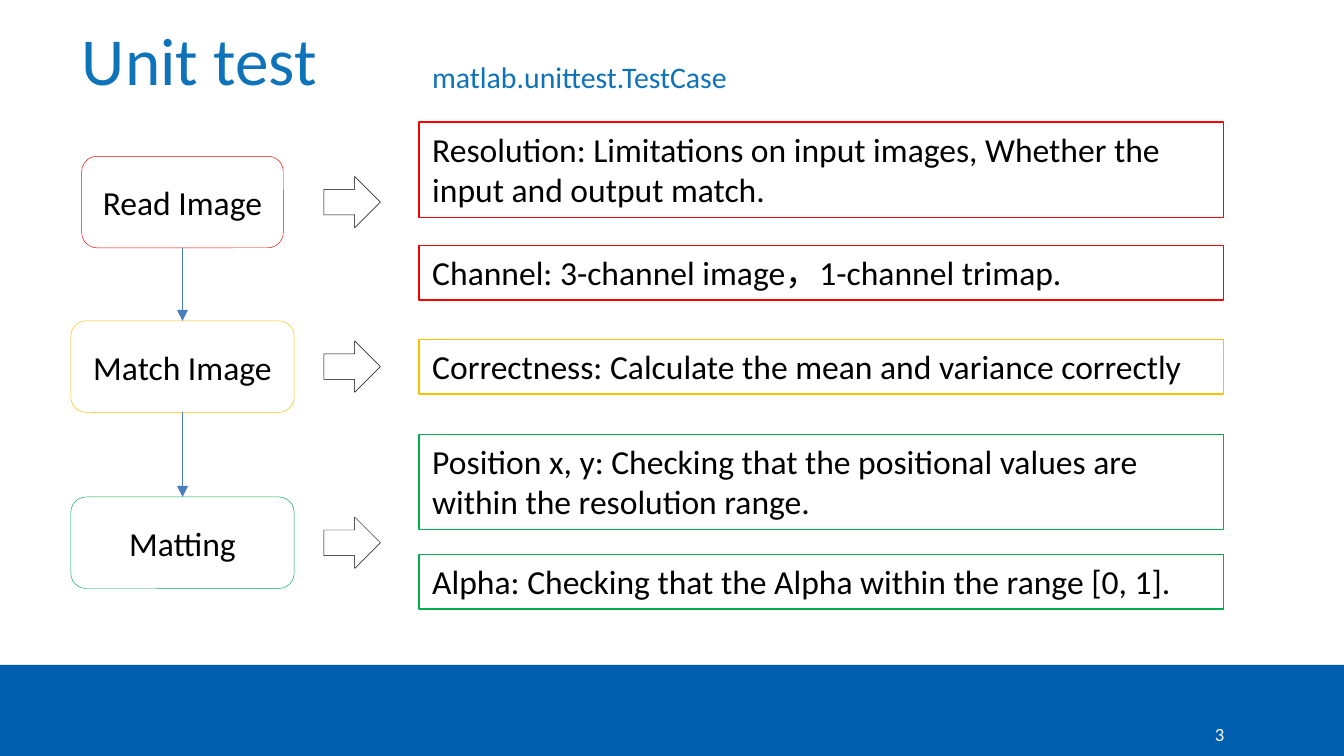
from dataclasses import dataclass

from lxml.etree import SubElement
from pptx import Presentation
from pptx.dml.color import RGBColor
from pptx.enum.shapes import MSO_CONNECTOR, MSO_SHAPE
from pptx.enum.text import MSO_ANCHOR, MSO_AUTO_SIZE, PP_ALIGN
from pptx.oxml.ns import qn
from pptx.util import Cm, Pt


@dataclass(frozen=True)
class Theme:
    """Colours, font and type sizes of the slide."""
    font: str = "Calibri"
    white: str = "FFFFFF"
    black: str = "000000"
    band: str = "005EAE"
    heading: str = "0E73B9"
    flow: str = "4B7EBC"
    red: str = "FF0000"
    amber: str = "FFC000"
    green: str = "00B050"
    title_size: int = 36
    body_size: int = 18
    subtitle_size: int = 16
    number_size: int = 10
    thin: float = 0.25
    regular: float = 0.75


class SlideBuilder:
    """Draws styled elements on the current slide."""

    def __init__(self, slide, theme):
        self.slide = slide
        self.theme = theme

    def set_text(self, frame, text, size, color, align=PP_ALIGN.LEFT, anchor=MSO_ANCHOR.TOP):
        """Fill a text frame with one styled paragraph."""
        frame.word_wrap = True
        frame.vertical_anchor = anchor
        paragraph = frame.paragraphs[0]
        paragraph.text = text
        paragraph.alignment = align
        paragraph.font.name = self.theme.font
        paragraph.font.size = Pt(size)
        paragraph.font.color.rgb = RGBColor.from_string(color)

    def label(self, box, text, size, color, inset=True, **layout):
        """Add a text box, with or without inner margins."""
        frame = self.slide.shapes.add_textbox(*map(Cm, box)).text_frame
        if not inset:
            frame.margin_left = frame.margin_right = frame.margin_top = frame.margin_bottom = 0
        self.set_text(frame, text, size, color, **layout)

    def block(self, kind, box, fill=None, line=None, width=0):
        """Add a preset shape without shadow."""
        shape = self.slide.shapes.add_shape(kind, *map(Cm, box))
        shape.shadow.inherit = False
        if fill:
            shape.fill.solid()
            shape.fill.fore_color.rgb = RGBColor.from_string(fill)
        else:
            shape.fill.background()
        if line:
            shape.line.color.rgb = RGBColor.from_string(line)
            shape.line.width = Pt(width)
        else:
            shape.line.fill.background()
        return shape

    def step(self, text, center, middle, width, height, color):
        """Add a rounded process step around its centre."""
        box = (center - width / 2, middle - height / 2, width, height)
        shape = self.block(MSO_SHAPE.ROUNDED_RECTANGLE, box, self.theme.white, color, self.theme.thin)
        self.set_text(shape.text_frame, text, self.theme.body_size, self.theme.black,
                      PP_ALIGN.CENTER, MSO_ANCHOR.MIDDLE)
        return shape

    def pointer(self, left, middle, width, height):
        """Add a block arrow pointing right."""
        box = (left, middle - height / 2, width, height)
        arrow = self.block(MSO_SHAPE.DOWN_ARROW, box, line=self.theme.black, width=self.theme.thin)
        arrow.rotation = 270

    def check(self, text, box, color):
        """Add an outlined box describing one check."""
        shape = self.block(MSO_SHAPE.RECTANGLE, box, line=color, width=self.theme.regular)
        self.set_text(shape.text_frame, text, self.theme.body_size, self.theme.black)
        shape.text_frame.auto_size = MSO_AUTO_SIZE.SHAPE_TO_FIT_TEXT

    def link(self, upper, lower):
        """Join two steps with a downward arrow."""
        connector = self.slide.shapes.add_connector(MSO_CONNECTOR.STRAIGHT, 0, 0, 0, 0)
        connector.begin_connect(upper, 2)
        connector.end_connect(lower, 0)
        connector.line.color.rgb = RGBColor.from_string(self.theme.flow)
        connector.line.width = Pt(self.theme.regular)
        properties = connector.element.spPr
        SubElement(properties.find(qn("a:ln")), qn("a:tailEnd"), type="triangle")
        SubElement(properties, qn("a:effectLst"))


def main():
    """Build the unit test slide."""
    deck = Presentation()
    deck.slide_width, deck.slide_height = Cm(25.4), Cm(14.29)
    theme = Theme()
    builder = SlideBuilder(deck.slides.add_slide(deck.slide_layouts[6]), theme)

    builder.block(MSO_SHAPE.RECTANGLE, (0, 12.57, 25.4, 1.72), theme.band)
    builder.label((1.55, 0.71, 20.83, 1.17), "Unit test", theme.title_size, theme.heading,
                  inset=False, anchor=MSO_ANCHOR.BOTTOM)
    builder.label((7.92, 0.99, 12.7, 0.94), "matlab.unittest.TestCase",
                  theme.subtitle_size, theme.heading)
    builder.label((22.33, 13.56, 0.81, 0.53), "3", theme.number_size, theme.white,
                  inset=False, align=PP_ALIGN.RIGHT, anchor=MSO_ANCHOR.BOTTOM)

    steps = []
    for text, middle, width, color in (
        ("Read Image", 3.82, 3.81, theme.red),
        ("Match Image", 6.93, 4.22, theme.amber),
        ("Matting", 10.26, 4.22, theme.green),
    ):
        steps.append(builder.step(text, 3.45, middle, width, 1.73, color))
        builder.pointer(6.17, middle, 0.97, 1.07)
    for upper, lower in zip(steps, steps[1:]):
        builder.link(upper, lower)

    one_line, two_lines = 1.03, 1.8
    for text, top, height, color in (
        ("Resolution: Limitations on input images, Whether the input and output match.",
         2.31, two_lines, theme.red),
        ("Channel: 3-channel image，1-channel trimap.", 4.64, one_line, theme.red),
        ("Correctness: Calculate the mean and variance correctly", 6.42, one_line, theme.amber),
        ("Position x, y: Checking that the positional values are within the resolution range.",
         8.21, two_lines, theme.green),
        ("Alpha: Checking that the Alpha within the range [0, 1].", 10.48, one_line, theme.green),
    ):
        builder.check(text, (7.92, top, 15.2, height), color)

    deck.save("out.pptx")


if __name__ == "__main__":
    main()
